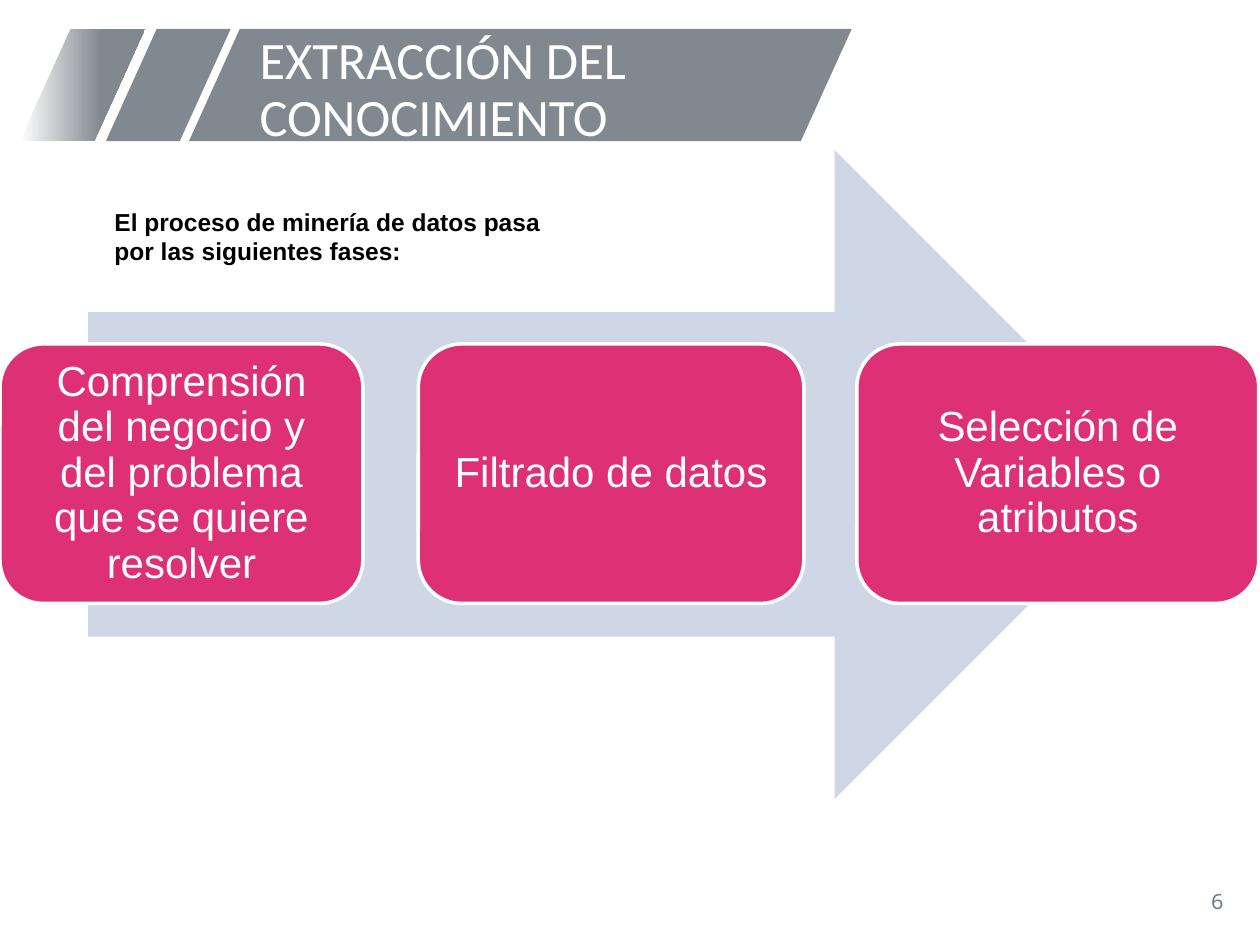
import pptx
import pptx.util
import pptx.dml.color
import pptx.enum.shapes
import pptx.enum.text

Inches = pptx.util.Inches
Pt = pptx.util.Pt
RGBColor = pptx.dml.color.RGBColor
MSO_SHAPE = pptx.enum.shapes.MSO_SHAPE
PP_ALIGN = pptx.enum.text.PP_ALIGN
MSO_ANCHOR = pptx.enum.text.MSO_ANCHOR

WHITE = RGBColor(0xFF, 0xFF, 0xFF)
BLACK = RGBColor(0, 0, 0)
GRAY = RGBColor(0x81, 0x88, 0x8F)
LIGHT_GRAY = RGBColor(0x81, 0x89, 0x90)
NUMBER_GRAY = RGBColor(0x6C, 0x7A, 0x8A)
PALE_BLUE = RGBColor(0xCF, 0xD7, 0xE7)
PINK = RGBColor(0xDE, 0x30, 0x75)

PHASES = [
    (0, 2.88, "Comprensión del negocio y del problema que se quiere resolver"),
    (3.32, 3.06, "Filtrado de datos"),
    (6.8, 3.19, "Selección de Variables o atributos"),
]


def write(sp, text, size, font, color, align=PP_ALIGN.LEFT, anchor=MSO_ANCHOR.MIDDLE, spacing=None, bold=False):
    """Put one formatted paragraph in a shape."""
    tf = sp.text_frame
    tf.text = text
    tf.word_wrap = True
    tf.vertical_anchor = anchor
    p = tf.paragraphs[0]
    p.alignment = align
    p.line_spacing = spacing
    r = p.runs[0]
    r.font.size = Pt(size)
    r.font.name = font
    r.font.bold = bold
    r.font.color.rgb = color


def add_shape(s, kind, left, top, width, height, fill, adj):
    """Add a flat preset shape without an outline."""
    sp = s.shapes.add_shape(kind, Inches(left), Inches(top), Inches(width), Inches(height))
    sp.shadow.inherit = False
    sp.fill.solid()
    sp.fill.fore_color.rgb = fill
    sp.line.fill.background()
    sp.adjustments[0] = adj
    return sp


def add_band(s, left, width, fill):
    """Add one slanted band of the header."""
    return add_shape(s, MSO_SHAPE.PARALLELOGRAM, left, 0.23, width, 0.89, fill, 0.453)


def fade(sp):
    """Fade a band from white on the left to gray."""
    sp.fill.gradient()
    sp.fill.gradient_angle = 0
    for stop, position, color in zip(sp.fill.gradient_stops, (0, 0.65), (WHITE, GRAY)):
        stop.position = position
        stop.color.rgb = color


def add_title(s, text):
    """Place the title placeholder in front of the header bands."""
    sp = s.shapes.title
    sp.left, sp.top, sp.width, sp.height = map(Inches, (1.96, 0.28, 5.88, 0.89))
    write(sp, text, 30, "Calibri", WHITE, spacing=0.9)
    sp.text_frame.auto_size = pptx.enum.text.MSO_AUTO_SIZE.NONE
    sp.element.getparent().append(sp.element)


def add_phase(s, left, width, text):
    """Add one rounded phase box."""
    sp = add_shape(s, MSO_SHAPE.ROUNDED_RECTANGLE, left, 2.73, width, 2.06, PINK, 0.167)
    sp.line.color.rgb = WHITE
    sp.line.width = Pt(2)
    tf = sp.text_frame
    tf.margin_left = tf.margin_right = tf.margin_top = tf.margin_bottom = Inches(0.1)
    write(sp, text, 24, "Arial", WHITE, PP_ALIGN.CENTER, spacing=0.9)


def add_text(s, left, top, width, height, *args, **kwargs):
    """Add a text box with one formatted paragraph."""
    sp = s.shapes.add_textbox(Inches(left), Inches(top), Inches(width), Inches(height))
    write(sp, *args, **kwargs)


def main():
    """Build the slide and save it."""
    prs = pptx.Presentation()
    prs.slide_width, prs.slide_height = Inches(10), Inches(7.5)
    s = prs.slides.add_slide(prs.slide_layouts[5])
    add_band(s, 1.5, 5.26, GRAY)
    add_band(s, 0.84, 0.99, LIGHT_GRAY)
    fade(add_band(s, 0.16, 0.99, GRAY))
    add_text(s, 7.56, 6.95, 2.25, 0.4, "6", 12, "Noto Sans Mono", NUMBER_GRAY, PP_ALIGN.RIGHT)
    add_title(s, "EXTRACCIÓN DEL CONOCIMIENTO")
    add_shape(s, MSO_SHAPE.RIGHT_ARROW, 0.7, 1.19, 8.5, 5.15, PALE_BLUE, 0.5)
    for phase in PHASES:
        add_phase(s, *phase)
    add_text(s, 0.81, 1.59, 3.58, 0.81, "El proceso de minería de datos pasa por las siguientes fases:",
             14, "Arial", BLACK, anchor=MSO_ANCHOR.TOP, bold=True)
    prs.save("out.pptx")


if __name__ == "__main__":
    main()
